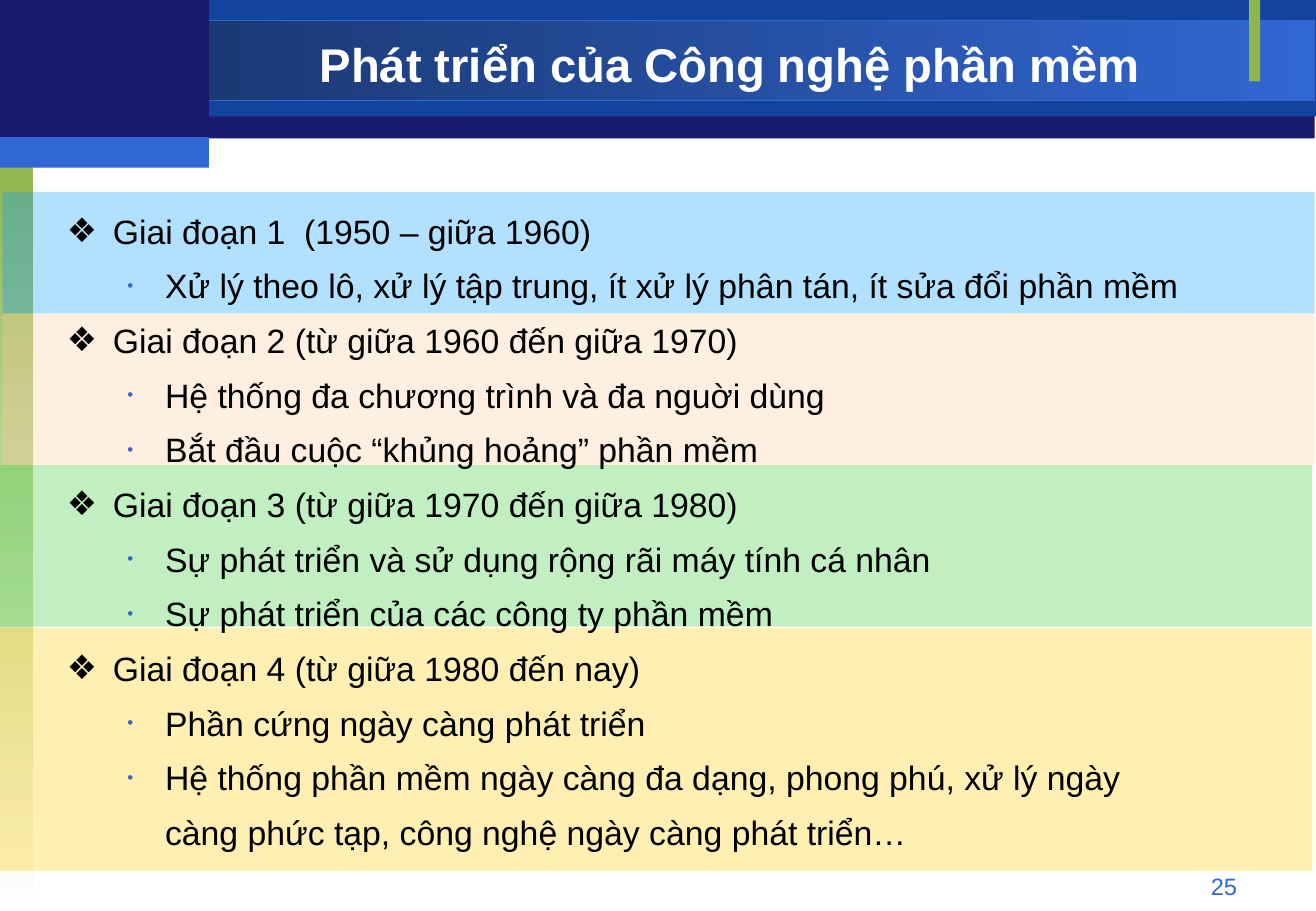
from dataclasses import dataclass

import pptx
import pptx.dml.color
import pptx.enum.shapes
import pptx.enum.text
import pptx.oxml.ns
import pptx.util
from lxml import etree
from pptx.util import Inches

Align = pptx.enum.text.PP_ALIGN
Anchor = pptx.enum.text.MSO_ANCHOR


@dataclass(frozen=True)
class Theme:
    font: str = "Arial"
    title_size: int = 28
    body_size: int = 20
    number_size: int = 14
    white: str = "FFFFFF"
    black: str = "000000"
    navy: str = "1A1A70"
    royal: str = "12449E"
    deep: str = "173062"
    blue: str = "3167D3"
    green: str = "90B54D"


THEME = Theme()


@dataclass(frozen=True)
class Panel:
    left: float
    top: float
    width: float
    height: float
    color: str
    fade_to: str = ""
    angle: int = 0
    line: str = ""
    opacity: int = 100


@dataclass(frozen=True)
class Level:
    depth: int
    left: float
    hanging: float
    bullet: str = ""
    bullet_color: str = THEME.blue
    bullet_percent: int = 100


STAGE = Level(0, 0.38, 0.38, "❖", THEME.black)
DETAIL = Level(1, 0.81, 0.31, "•", bullet_percent=50)
CONTINUATION = Level(1, 0.81, 0)

FRAME = [
    Panel(0, 0.01, 10.83, 1.13, THEME.navy),
    Panel(1.72, 0, 9.12, 0.96, THEME.royal),
    Panel(0, 0.17, 10.83, 0.66, THEME.deep, fade_to=THEME.blue, line=THEME.blue),
    Panel(0, 1.25, 0.27, 6.25, THEME.green, fade_to=THEME.white, angle=270),
    Panel(10.29, 0, 0.09, 0.67, THEME.green),
    Panel(0, 0, 1.72, 1.17, THEME.navy),
    Panel(0, 1.13, 1.72, 0.25, THEME.blue),
]
STAGE_BANDS = [
    Panel(0.02, 1.58, 10.81, 1, "0099FF", opacity=30),
    Panel(0.02, 2.58, 10.81, 1.25, "FFCC99", opacity=30),
    Panel(0, 3.83, 10.81, 1.33, "33CC33", opacity=30),
    Panel(0, 5.17, 10.81, 2, "FFCC00", opacity=30),
]
OUTLINE = [
    (STAGE, "Giai đoạn 1  (1950 – giữa 1960)"),
    (DETAIL, "Xử lý theo lô, xử lý tập trung, ít xử lý phân tán, ít sửa đổi phần mềm"),
    (STAGE, "Giai đoạn 2 (từ giữa 1960 đến giữa 1970)"),
    (DETAIL, "Hệ thống đa chương trình và đa nguời dùng"),
    (DETAIL, "Bắt đầu cuộc “khủng hoảng” phần mềm"),
    (STAGE, "Giai đoạn 3 (từ giữa 1970 đến giữa 1980)"),
    (DETAIL, "Sự phát triển và sử dụng rộng rãi máy tính cá nhân"),
    (DETAIL, "Sự phát triển của các công ty phần mềm"),
    (STAGE, "Giai đoạn 4 (từ giữa 1980 đến nay)"),
    (DETAIL, "Phần cứng ngày càng phát triển"),
    (DETAIL, "Hệ thống phần mềm ngày càng đa dạng, phong phú, xử lý ngày"),
    (CONTINUATION, "càng phức tạp, công nghệ ngày càng phát triển…"),
]


def rgb(color: str) -> pptx.dml.color.RGBColor:
    return pptx.dml.color.RGBColor.from_string(color)


def add_element(parent, tag: str, **attributes: str):
    return etree.SubElement(parent, pptx.oxml.ns.qn(tag), attributes)


def draw_panel(page, panel: Panel) -> None:
    shape = page.shapes.add_shape(
        pptx.enum.shapes.MSO_SHAPE.RECTANGLE, Inches(panel.left), Inches(panel.top),
        Inches(panel.width), Inches(panel.height))
    shape.shadow.inherit = False
    if panel.fade_to:
        shape.fill.gradient()
        shape.fill.gradient_angle = panel.angle
        for stop, color in zip(shape.fill.gradient_stops, (panel.color, panel.fade_to)):
            stop.color.rgb = rgb(color)
    else:
        shape.fill.solid()
        shape.fill.fore_color.rgb = rgb(panel.color)
    if panel.opacity < 100:
        color_element = shape.fill._xPr.find(".//" + pptx.oxml.ns.qn("a:srgbClr"))
        add_element(color_element, "a:alpha", val=str(panel.opacity * 1000))
    if panel.line:
        shape.line.color.rgb = rgb(panel.line)
        shape.line.width = pptx.util.Pt(0.75)
    else:
        shape.line.fill.background()


def place(box, left: float, top: float, width: float, height: float, anchor: Anchor):
    """Position a text shape and return its wrapping, fixed-size text frame."""
    box.left, box.top = Inches(left), Inches(top)
    box.width, box.height = Inches(width), Inches(height)
    frame = box.text_frame
    frame.word_wrap = True
    frame.auto_size = pptx.enum.text.MSO_AUTO_SIZE.NONE
    frame.vertical_anchor = anchor
    return frame


def format_para(para, size: int, color: str, align: Align, bold: bool = False) -> None:
    para.alignment = align
    para.font.name = THEME.font
    para.font.size = pptx.util.Pt(size)
    para.font.color.rgb = rgb(color)
    para.font.bold = bold


def set_level(para, level: Level) -> None:
    para.level = level.depth
    properties = para._p.get_or_add_pPr()
    properties.set("marL", str(Inches(level.left)))
    properties.set("indent", str(-Inches(level.hanging)))
    if not level.bullet:
        add_element(properties, "a:buNone")
        return
    add_element(add_element(properties, "a:buClr"), "a:srgbClr", val=level.bullet_color)
    add_element(properties, "a:buSzPct", val=str(level.bullet_percent * 1000))
    add_element(properties, "a:buFont", typeface=THEME.font)
    add_element(properties, "a:buChar", char=level.bullet)


def fill_outline(frame) -> None:
    for index, (level, text) in enumerate(OUTLINE):
        para = frame.add_paragraph() if index else frame.paragraphs[0]
        para.text = text
        set_level(para, level)
        para.line_spacing = 1.1
        para.space_before = pptx.util.Pt(6 if index else 0)
        format_para(para, THEME.body_size, THEME.black, Align.JUSTIFY)


def main() -> None:
    deck = pptx.Presentation()
    deck.slide_width, deck.slide_height = Inches(10.84), Inches(7.5)
    page = deck.slides.add_slide(deck.slide_layouts[1])
    title, body = page.shapes.title, page.placeholders[1]

    for panel in FRAME + STAGE_BANDS:
        draw_panel(page, panel)
    for placeholder in (title, body):
        page.shapes._spTree.append(placeholder._element)  # bring in front of the panels

    frame = place(title, 1.72, 0.23, 8.58, 0.58, Anchor.MIDDLE)
    frame.text = "Phát triển của Công nghệ phần mềm"
    format_para(frame.paragraphs[0], THEME.title_size, THEME.white, Align.CENTER, bold=True)

    fill_outline(place(body, 0.45, 1.65, 10.2, 5.55, Anchor.TOP))

    number = page.shapes.add_textbox(0, 0, 0, 0)
    frame = place(number, 7.76, 7.13, 2.53, 0.27, Anchor.TOP)
    frame.text = "25"
    format_para(frame.paragraphs[0], THEME.number_size, THEME.blue, Align.RIGHT)

    deck.save("out.pptx")


if __name__ == "__main__":
    main()
